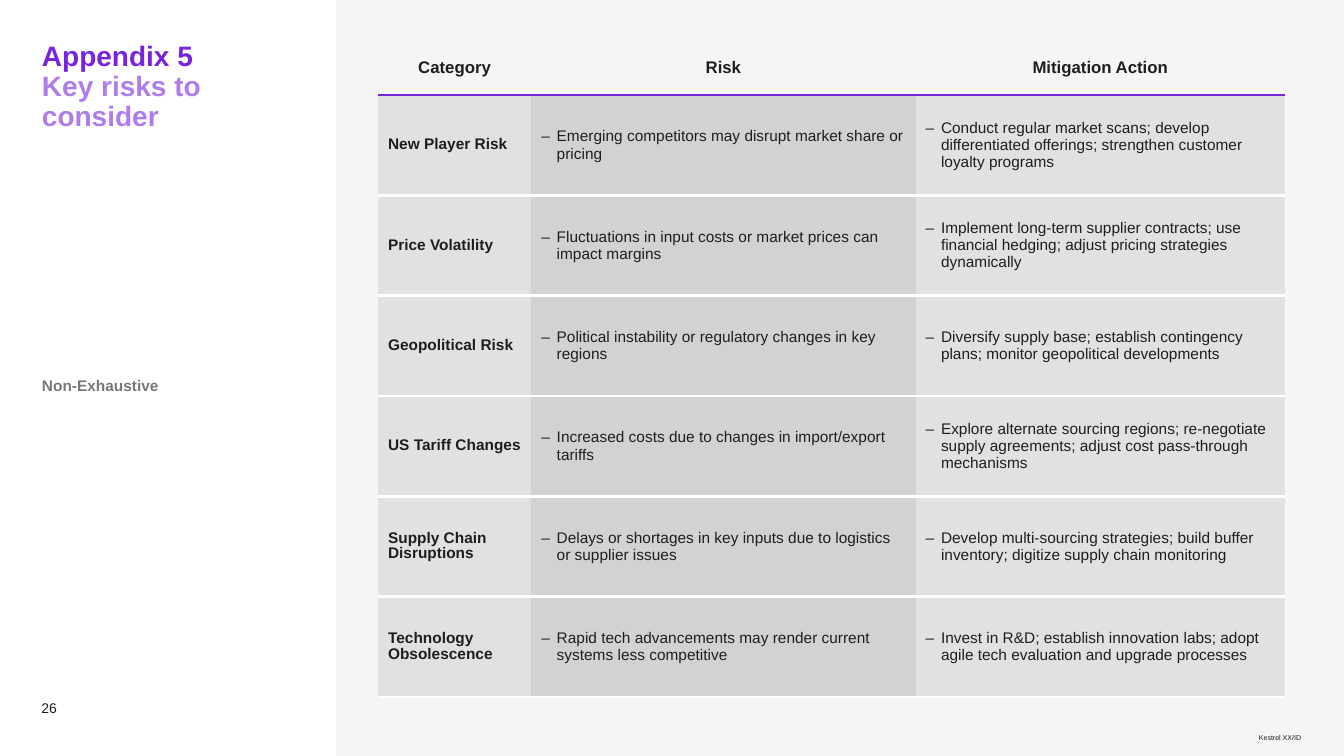
from lxml import etree
from pptx import Presentation
from pptx.dml.color import RGBColor
from pptx.enum.shapes import MSO_SHAPE
from pptx.enum.text import MSO_ANCHOR, PP_ALIGN
from pptx.oxml.ns import qn
from pptx.util import Pt

RECTANGLE = MSO_SHAPE.RECTANGLE
TOP, MIDDLE, BOTTOM = MSO_ANCHOR.TOP, MSO_ANCHOR.MIDDLE, MSO_ANCHOR.BOTTOM
LEFT, CENTER, RIGHT = PP_ALIGN.LEFT, PP_ALIGN.CENTER, PP_ALIGN.RIGHT

FONT = "Arial"
COLORS = {
    "background": "F5F5F5",
    "white": "FFFFFF",
    "ink": "1E1E1E",
    "purple": "7823DC",
    "lilac": "AF7DEB",
    "gray": "787878",
    "light": "E1E1E1",
    "dark": "D2D2D2",
}

TITLE = [("Appendix 5", "purple"), ("Key risks to consider", "lilac")]
NOTE = "Non-Exhaustive"
PAGE_NUMBER = "26"
FOOTER = "Kestrel XX/ID"
HEADERS = ["Category", "Risk", "Mitigation Action"]
RISKS = [
    ("New Player Risk",
     "Emerging competitors may disrupt market share or pricing",
     "Conduct regular market scans; develop differentiated offerings; "
     "strengthen customer loyalty programs"),
    ("Price Volatility",
     "Fluctuations in input costs or market prices can impact margins",
     "Implement long-term supplier contracts; use financial hedging; "
     "adjust pricing strategies dynamically"),
    ("Geopolitical Risk",
     "Political instability or regulatory changes in key regions",
     "Diversify supply base; establish contingency plans; "
     "monitor geopolitical developments"),
    ("US Tariff Changes",
     "Increased costs due to changes in import/export tariffs",
     "Explore alternate sourcing regions; re-negotiate supply agreements; "
     "adjust cost pass-through mechanisms"),
    ("Supply Chain Disruptions",
     "Delays or shortages in key inputs due to logistics or supplier issues",
     "Develop multi-sourcing strategies; build buffer inventory; "
     "digitize supply chain monitoring"),
    ("Technology Obsolescence",
     "Rapid tech advancements may render current systems less competitive",
     "Invest in R&D; establish innovation labs; "
     "adopt agile tech evaluation and upgrade processes"),
]

PAGE_WIDTH, PAGE_HEIGHT = 960, 540
PANEL_WIDTH = 240
MARGIN = 30
TABLE_LEFT, TABLE_HEIGHT = 270, 468
COLUMN_WIDTHS = [109.5, 274.5, 264]
COLUMN_FILLS = ["light", "dark", "light"]
HEADER_HEIGHT = 37.8
ROW_HEIGHT = (TABLE_HEIGHT - HEADER_HEIGHT) / len(RISKS)
BULLET_INDENT = 11
RULE_WIDTH = 2.25


def rgb(name):
    return RGBColor.from_string(COLORS[name])


def add_bullet(para):
    properties = para._p.get_or_add_pPr()
    properties.set("marL", str(Pt(BULLET_INDENT)))
    properties.set("indent", str(-Pt(BULLET_INDENT)))
    color = etree.SubElement(properties, qn("a:buClr"))
    etree.SubElement(color, qn("a:srgbClr"), val=COLORS["ink"])
    etree.SubElement(properties, qn("a:buFont"), typeface=FONT)
    etree.SubElement(properties, qn("a:buChar"), char="–")


def write(frame, text, size=11, color="ink", bold=False, align=LEFT,
          spacing=0.9, bullet=False):
    para = frame.paragraphs[0]
    if bullet:
        add_bullet(para)
    para.alignment = align
    para.line_spacing = spacing
    parts = [(text, color)] if isinstance(text, str) else text
    for index, (words, shade) in enumerate(parts):
        if index:
            para.add_line_break()
        span = para.add_run()
        span.text = words
        span.font.name = FONT
        span.font.size = Pt(size)
        span.font.bold = bold
        span.font.color.rgb = rgb(shade)


def add_text(page, bounds, text, anchor=TOP, wrap=True, **style):
    box = page.shapes.add_textbox(*map(Pt, bounds))
    frame = box.text_frame
    frame.margin_left = frame.margin_right = 0
    frame.margin_top = frame.margin_bottom = 0
    frame.word_wrap = wrap
    frame.vertical_anchor = anchor
    write(frame, text, **style)


def set_borders(cell, top, bottom):
    properties = cell._tc.get_or_add_tcPr()
    sides = [("a:lnL", None), ("a:lnR", None), ("a:lnT", top), ("a:lnB", bottom)]
    for index, (tag, color) in enumerate(sides):
        line = etree.Element(qn(tag), w=str(Pt(RULE_WIDTH if color else 0)))
        if color:
            fill = etree.SubElement(line, qn("a:solidFill"))
            etree.SubElement(fill, qn("a:srgbClr"), val=COLORS[color])
        else:
            etree.SubElement(line, qn("a:noFill"))
        properties.insert(index, line)


def add_risk_table(page):
    table = page.shapes.add_table(
        len(RISKS) + 1, len(HEADERS), Pt(TABLE_LEFT), Pt(MARGIN),
        Pt(sum(COLUMN_WIDTHS)), Pt(TABLE_HEIGHT)).table
    table.first_row = table.horz_banding = False
    for column, width in zip(table.columns, COLUMN_WIDTHS):
        column.width = Pt(width)
    for row_index, texts in enumerate([HEADERS, *RISKS]):
        header = row_index == 0
        table.rows[row_index].height = Pt(HEADER_HEIGHT if header else ROW_HEIGHT)
        for column_index, text in enumerate(texts):
            cell = table.cell(row_index, column_index)
            cell.vertical_anchor = MIDDLE
            cell.margin_left = cell.margin_right = Pt(2.9 if header else 7.2)
            cell.margin_top = cell.margin_bottom = Pt(3.6)
            if header:
                cell.fill.background()
                set_borders(cell, None, "purple")
                write(cell.text_frame, text, size=12, bold=True, align=CENTER)
                continue
            cell.fill.solid()
            cell.fill.fore_color.rgb = rgb(COLUMN_FILLS[column_index])
            set_borders(cell, "purple" if row_index == 1 else "white", "white")
            category = column_index == 0
            write(cell.text_frame, text, bold=category, bullet=not category,
                  spacing=0.9 if category else 1.0)


def main():
    deck = Presentation()
    deck.slide_width, deck.slide_height = Pt(PAGE_WIDTH), Pt(PAGE_HEIGHT)
    page = deck.slides.add_slide(deck.slide_layouts[6])
    page.background.fill.solid()
    page.background.fill.fore_color.rgb = rgb("background")

    panel = page.shapes.add_shape(RECTANGLE, 0, 0, Pt(PANEL_WIDTH), Pt(PAGE_HEIGHT))
    panel.shadow.inherit = False
    panel.fill.solid()
    panel.fill.fore_color.rgb = rgb("white")
    panel.line.fill.background()

    add_text(page, (882.7, 517.7, 46.8, 12.2), FOOTER, anchor=BOTTOM, wrap=False,
             size=5, align=RIGHT)
    add_text(page, (29.5, 490.3, 29.5, 21.6), PAGE_NUMBER, anchor=BOTTOM,
             wrap=False, size=10)
    add_text(page, (MARGIN, MARGIN, 180, 174), TITLE, size=20, bold=True)
    add_risk_table(page)
    add_text(page, (MARGIN, 270, 180, 12.2), NOTE, color="gray", bold=True)
    deck.save("out.pptx")


if __name__ == "__main__":
    main()
